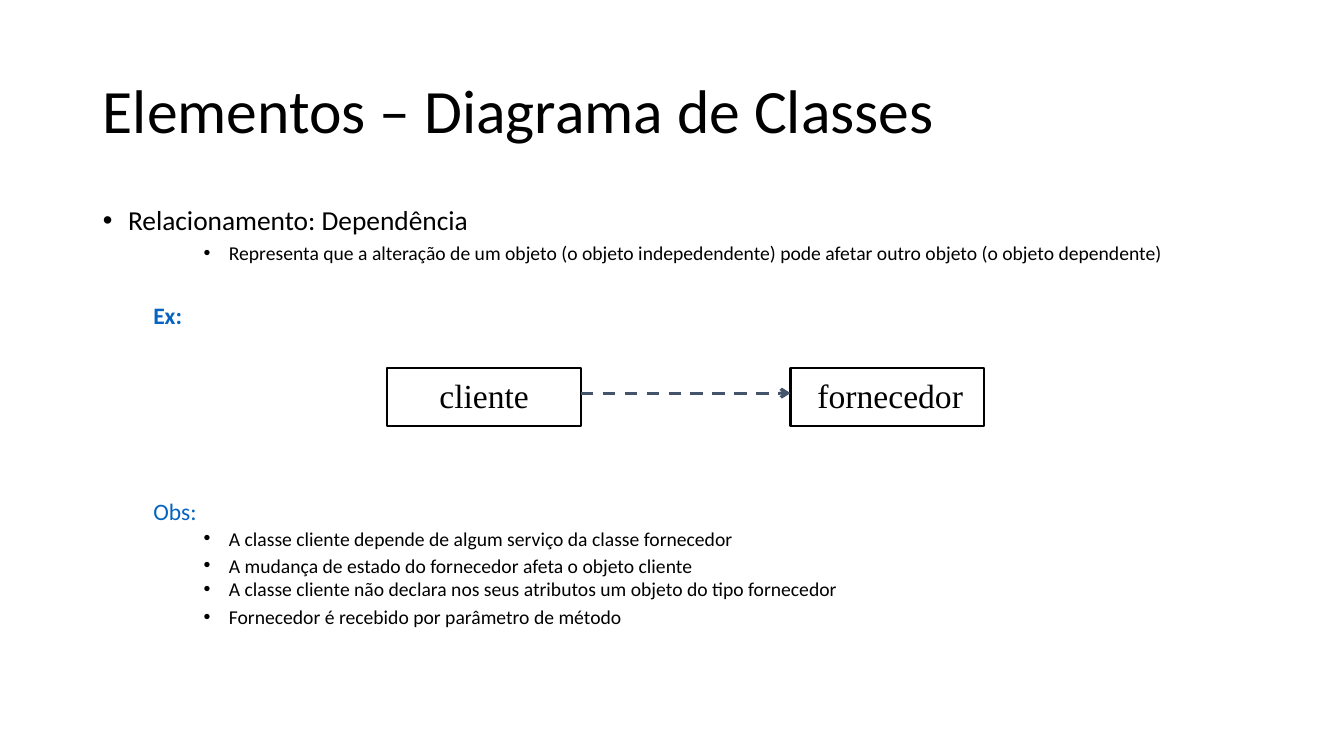
from lxml import etree
from pptx import Presentation
from pptx.dml.color import RGBColor
from pptx.enum import dml, shapes, text
from pptx.oxml import ns
from pptx.util import Inches, Pt

BLACK, BLUE, SLATE = "000000", "0563C1", "44546A"


def paint(target, color):
    target.rgb = RGBColor.from_string(color)


def child(node, tag, **attrs):
    return etree.SubElement(node, ns.qn(tag), attrs)


def write(par, words, size=14, font="Calibri", color=BLACK, bold=False):
    run = par.add_run()
    run.text = words
    run.font.size, run.font.name, run.font.bold = Pt(size), font, bold
    paint(run.font.color, color)


class Page:
    """Holds the style and the current slide."""

    def __init__(self, deck):
        self.slide = deck.slides.add_slide(deck.slide_layouts[1])
        self.items = self.slide.shapes

    def place(self, holder, left, top, width, height):
        holder.left, holder.top = Inches(left), Inches(top)
        holder.width, holder.height = Inches(width), Inches(height)
        holder.text_frame.auto_size = text.MSO_AUTO_SIZE.NONE
        return holder.text_frame

    def title(self, words, *area):
        frame = self.place(self.items.title, *area)
        frame.vertical_anchor = text.MSO_ANCHOR.MIDDLE
        par = frame.paragraphs[0]
        par.alignment = text.PP_ALIGN.LEFT
        par.line_spacing = 0.9
        write(par, words, 44)

    def body(self, rows, *area):
        """Fill the list from rows of words, level, gaps, spacing and format."""
        frame = self.place(self.slide.placeholders[1], *area)
        for i, (words, level, before, after, spacing, style) in enumerate(rows):
            par = frame.paragraphs[0] if i == 0 else frame.add_paragraph()
            par.level = level
            par.line_spacing = spacing
            par.space_before, par.space_after = Pt(before), Pt(after)
            props = par._p.get_or_add_pPr()
            props.set("marL", str(Inches(0.25 + 0.5 * level)))
            props.set("indent", str(Inches(-0.25)))
            if level == 1:
                child(props, "a:buNone")
            else:
                child(props, "a:buFont", typeface="Arial")
                child(props, "a:buChar", char="•")
            write(par, words, **style)

    def box(self, left, top, width, height):
        rect = self.items.add_shape(shapes.MSO_SHAPE.RECTANGLE, Inches(left),
                                    Inches(top), Inches(width), Inches(height))
        rect.shadow.inherit = False
        rect.fill.background()
        paint(rect.line.color, BLACK)
        rect.line.width = Pt(1.5)

    def label(self, words, left, top, width, height):
        frame = self.items.add_textbox(Inches(left), Inches(top), Inches(width),
                                       Inches(height)).text_frame
        frame.word_wrap = False
        frame.auto_size = text.MSO_AUTO_SIZE.SHAPE_TO_FIT_TEXT
        write(frame.paragraphs[0], words, 24, "Times New Roman")

    def arrow(self, start, end, y):
        link = self.items.add_connector(shapes.MSO_CONNECTOR.STRAIGHT, Inches(start),
                                        Inches(y), Inches(end), Inches(y))
        paint(link.line.color, SLATE)
        link.line.width = Pt(2.25)
        link.line.dash_style = dml.MSO_LINE.DASH
        child(link.line._get_or_add_ln(), "a:tailEnd", type="arrow")
        child(link._element.spPr, "a:effectLst")


def main():
    deck = Presentation()
    deck.slide_width, deck.slide_height = Inches(13.33), Inches(7.5)
    page = Page(deck)
    page.title("Elementos – Diagrama de Classes", 0.92, 0.4, 11.5, 1.45)

    head = dict(size=16.8, color=BLUE)
    page.body([
        ("Relacionamento: Dependência", 0, 0, 0, 0.9, dict(size=19.6)),
        ("Representa que a alteração de um objeto (o objeto indepedendente) "
         "pode afetar outro objeto (o objeto dependente)", 2, 5, 0, 0.9, {}),
        ("Ex:", 1, 28.5, 0, 0.9, dict(head, bold=True)),
        ("Obs:", 1, 122, 0, 0.9, head),
        ("A classe cliente depende de algum serviço da classe fornecedor",
         2, 5, 2.8, 0.7, {}),
        ("A mudança de estado do fornecedor afeta o objeto cliente",
         2, 5, 0, 0.7, {}),
        ("A classe cliente não declara nos seus atributos um objeto do tipo fornecedor",
         2, 5, 0, 0.7, {}),
        ("Fornecedor é recebido por parâmetro de método", 2, 5, 0, 0.9, {}),
    ], 0.92, 2, 11.5, 4.76)

    client, vendor, top, width = 3.84, 7.84, 3.65, 1.92
    for left in (client, vendor):
        page.box(left, top, width, 0.58)
    page.arrow(client + width, vendor, 3.9)
    page.label("cliente", 4.26, 3.67, 1.09, 0.5)
    page.label("fornecedor", 8.01, 3.67, 1.64, 0.5)
    deck.save("out.pptx")


if __name__ == "__main__":
    main()
